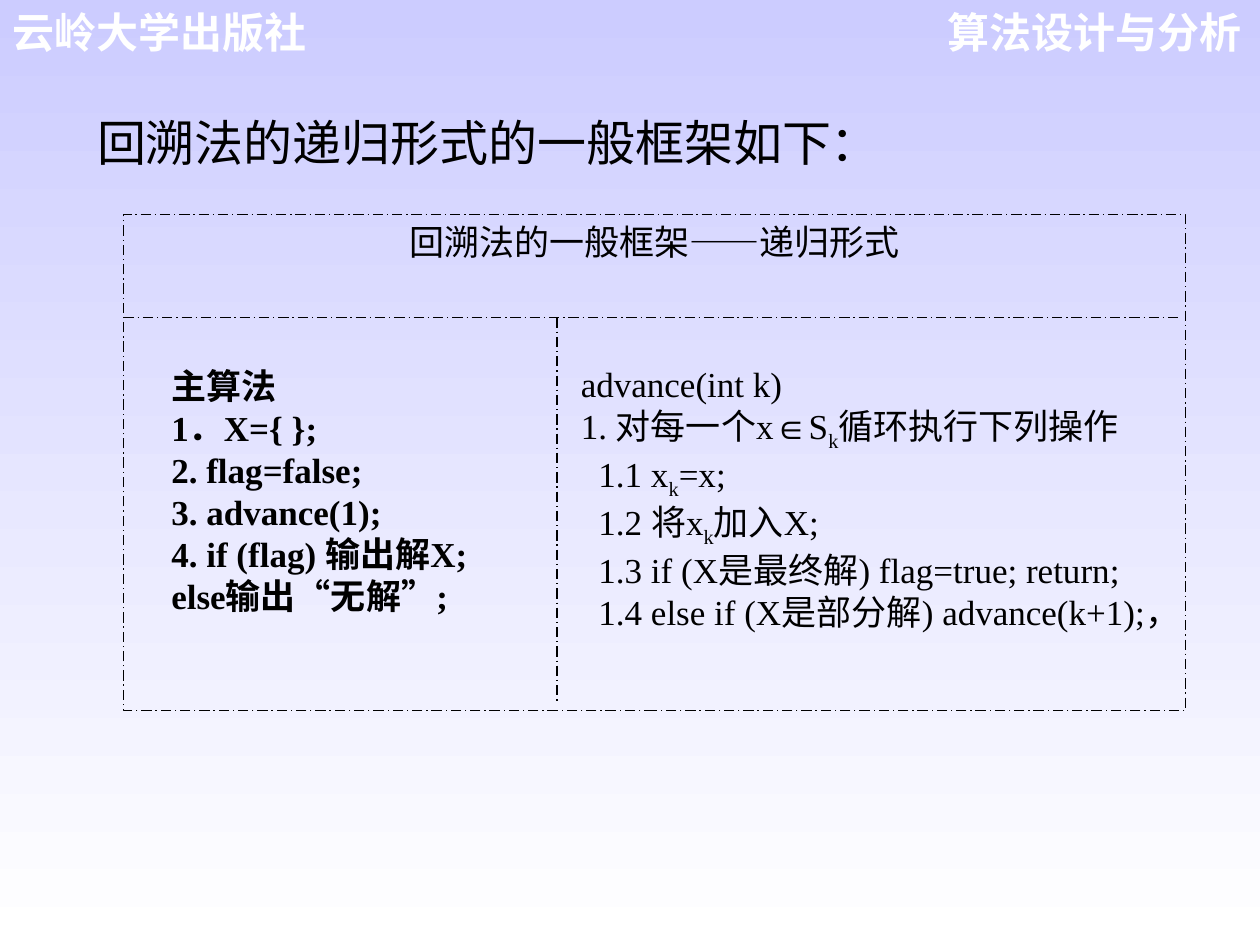
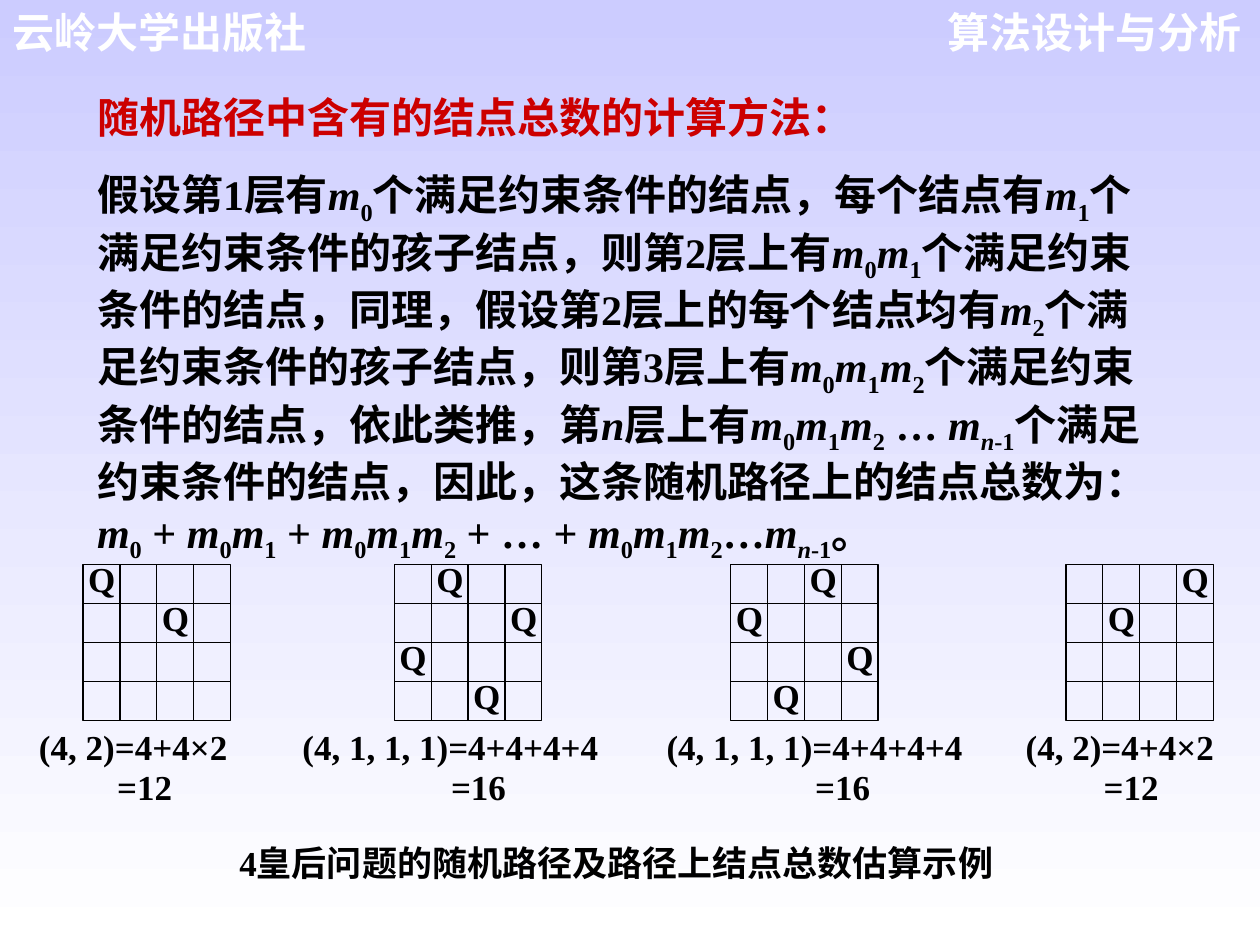
from dataclasses import dataclass

from lxml.etree import SubElement
from pptx import Presentation
from pptx.dml.color import RGBColor
from pptx.enum.dml import MSO_LINE
from pptx.enum.shapes import MSO_CONNECTOR, MSO_SHAPE
from pptx.enum.text import MSO_ANCHOR, MSO_AUTO_SIZE, PP_ALIGN as Align
from pptx.oxml.ns import qn
from pptx.util import Inches, Pt


@dataclass(frozen=True)
class Theme:
    sky: str = "CCCCFF"
    paper: str = "FFFFFF"
    ink: str = "000000"
    accent: str = "CC0000"
    sans: str = "Arial"
    serif: str = "Times New Roman"
    lead: int = 28
    text: int = 24
    small: int = 20
    rule: float = 0.75


THEME = Theme()
WIDTH, HEIGHT = 10, 7.5
INSETS, NO_INSETS = (0.1, 0.05), (0, 0)


def product(*levels):
    """Runs for a product of italic m factors with subscripts."""
    runs = []
    for level in levels:
        runs.append(("m", "i"))
        runs += [("n", "is"), ("-1", "s")] if level == "n-1" else [(level, "s")]
    return runs


# Content: a paragraph is a list of runs; a run is text or (text, style),
# where style holds i for italic and s for subscript.
PUBLISHER, COURSE = "云岭大学出版社", "算法设计与分析"

FRAMEWORK_TITLE = "回溯法的递归形式的一般框架如下："
FRAMEWORK_HEAD = "回溯法的一般框架——递归形式"
MAIN_ALGORITHM = [["主算法"], ["1．X={ };"], ["2. flag=false;"],
                  ["3. advance(1);"], ["4. if (flag) 输出解X;"],
                  ["else输出“无解”;"]]
ADVANCE = [["advance(int k)"],
           ["1. 对每一个x∈S", ("k", "s"), "循环执行下列操作"]]
ADVANCE_STEPS = [["1.1 x", ("k", "s"), "=x;"],
                 ["1.2 将x", ("k", "s"), "加入X;"],
                 ["1.3 if (X是最终解) flag=true; return;"],
                 ["1.4 else if (X是部分解) advance(k+1);，"]]

COUNT_TITLE = "随机路径中含有的结点总数的计算方法："
COUNT_METHOD = [
    "假设第1层有", *product("0"),
    "个满足约束条件的结点，每个结点有", *product("1"),
    "个满足约束条件的孩子结点，则第2层上有", *product("0", "1"),
    "个满足约束条件的结点，同理，假设第2层上的每个结点均有", *product("2"),
    "个满足约束条件的孩子结点，则第3层上有", *product("0", "1", "2"),
    "个满足约束条件的结点，依此类推，第", ("n", "i"), "层上有",
    *product("0", "1", "2"), " … ", *product("n-1"),
    "个满足约束条件的结点，因此，这条随机路径上的结点总数为：",
    *product("0"), " + ", *product("0", "1"), " + ",
    *product("0", "1", "2"), " + … + ",
    *product("0", "1", "2"), "…", *product("n-1"), "。"]
BOARDS_CAPTION = "4皇后问题的随机路径及路径上结点总数估算示例"

# Board left, caption left, queen column in each row, sum, total
BOARDS = [
    (0.66, 0.31, (0, 2), "(4, 2)=4+4×2", "=12"),
    (3.13, 2.40, (1, 3, 0, 2), "(4, 1, 1, 1)=4+4+4+4", "=16"),
    (5.80, 5.29, (2, 0, 3, 1), "(4, 1, 1, 1)=4+4+4+4", "=16"),
    (8.46, 8.14, (3, 1), "(4, 2)=4+4×2", "=12"),
]
BOARD_TOP, BOARD_WIDTH, BOARD_HEIGHT, BOARD_CELLS = 4.48, 1.17, 1.24, 4
FRAME_LEFT, FRAME_TOP, FRAME_WIDTH, FRAME_HEIGHT = 0.98, 1.7, 8.43, 3.94


def rgb(color):
    return RGBColor.from_string(color)


def place(part, left, top, width, height):
    part.left, part.top = Inches(left), Inches(top)
    part.width, part.height = Inches(width), Inches(height)


def fill_text(part, paragraphs, size, font=THEME.serif, color=THEME.ink, bold=False,
              align=Align.JUSTIFY, insets=NO_INSETS, spacing=1.0, indents=(), wrap=True):
    """Write the paragraphs; indents gives left margins, 0 where it ends."""
    frame = part.text_frame
    frame.auto_size = MSO_AUTO_SIZE.NONE
    frame.word_wrap = wrap
    frame.vertical_anchor = MSO_ANCHOR.TOP
    frame.margin_left = frame.margin_right = Inches(insets[0])
    frame.margin_top = frame.margin_bottom = Inches(insets[1])
    for index, runs in enumerate(paragraphs):
        paragraph = frame.add_paragraph() if index else frame.paragraphs[0]
        paragraph.alignment = align
        paragraph.line_spacing = spacing
        paragraph.space_before = paragraph.space_after = Pt(0)
        margin = indents[index] if index < len(indents) else 0
        properties = paragraph._p.get_or_add_pPr()
        properties.set("marL", str(Inches(margin)))
        properties.set("indent", "0")
        SubElement(properties, qn("a:buNone"))
        for piece in runs:
            words, style = (piece, "") if isinstance(piece, str) else piece
            run = paragraph.add_run()
            run.text = words
            run.font.name, run.font.size = font, Pt(size)
            run.font.bold, run.font.italic = bold, "i" in style
            run.font.color.rgb = rgb(color)
            if "s" in style:
                run.font._element.set("baseline", "-25000")


def add_text(slide, box, paragraphs, size=THEME.small, **look):
    part = slide.shapes.add_textbox(0, 0, 0, 0)
    place(part, *box)
    fill_text(part, paragraphs, size, **look)


def fill_placeholder(part, box, runs, size, **look):
    place(part, *box)
    fill_text(part, [runs], size, align=Align.LEFT, insets=INSETS, **look)


def style_line(line, dash):
    line.color.rgb = rgb(THEME.ink)
    line.width = Pt(THEME.rule)
    if dash:
        line.dash_style = dash


def add_frame(slide, box, dash=None):
    frame = slide.shapes.add_shape(MSO_SHAPE.RECTANGLE, *map(Inches, box))
    frame.shadow.inherit = False
    frame.fill.background()
    style_line(frame.line, dash)
    return frame


def add_rule(slide, x1, y1, x2, y2, dash=None):
    rule = slide.shapes.add_connector(
        MSO_CONNECTOR.STRAIGHT, *map(Inches, (x1, y1, x2, y2)))
    style_line(rule.line, dash)
    SubElement(rule._element.spPr, qn("a:effectLst"))


def paint_background(master):
    fill = master.background.fill
    fill.gradient()
    fill.gradient_angle = 270
    for stop, color in zip(fill.gradient_stops, (THEME.sky, THEME.paper)):
        stop.color.rgb = rgb(color)


def add_slide(deck, layout):
    slide = deck.slides.add_slide(deck.slide_layouts.get_by_name(layout))
    for left, words, align in ((7.24, COURSE, Align.RIGHT), (0, PUBLISHER, Align.LEFT)):
        add_text(slide, (left, 0, 2.71, 0.5), [[words]], THEME.text, font=THEME.sans,
                 color=THEME.paper, bold=True, align=align, insets=INSETS)
    return slide


def build_framework(deck):
    slide = add_slide(deck, "Title Only")
    fill_placeholder(slide.shapes.title, (0.67, 0.84, 6.41, 0.57),
                     [FRAMEWORK_TITLE], THEME.lead, font=THEME.sans, wrap=False)
    dash = MSO_LINE.LONG_DASH_DOT
    frame = add_frame(slide, (FRAME_LEFT, FRAME_TOP, FRAME_WIDTH, FRAME_HEIGHT), dash)
    fill_text(frame, [[FRAMEWORK_HEAD]], THEME.small, align=Align.CENTER, insets=INSETS)
    add_text(slide, (4.61, 2.88, 5.04, 3.47), ADVANCE + ADVANCE_STEPS,
             indents=[0] * len(ADVANCE) + [0.14] * len(ADVANCE_STEPS))
    add_text(slide, (1.36, 2.89, 2.52, 3.33), MAIN_ALGORITHM, bold=True)
    head_bottom, divider = 2.52, 4.42
    add_rule(slide, FRAME_LEFT, head_bottom, 9.38, head_bottom, dash)
    add_rule(slide, divider, head_bottom, divider, 5.56, dash)


def add_board(slide, left, caption_left, queens, path_sum, total):
    add_frame(slide, (left, BOARD_TOP, BOARD_WIDTH, BOARD_HEIGHT))
    column, row = BOARD_WIDTH / BOARD_CELLS, BOARD_HEIGHT / BOARD_CELLS
    for step in range(1, BOARD_CELLS):
        x, y = left + step * column, BOARD_TOP + step * row
        add_rule(slide, x, BOARD_TOP, x, BOARD_TOP + BOARD_HEIGHT)
        add_rule(slide, left, y, left + BOARD_WIDTH, y)
    for level, queen in enumerate(queens):
        add_text(slide, (left + queen * column + 0.04, BOARD_TOP + level * row + 0.01,
                         0.22, 0.28), [["Q"]], bold=True, spacing=0.8)
    full_path = len(queens) == BOARD_CELLS
    add_text(slide, (caption_left, 5.78, 2.4 if full_path else 1.83, 0.69),
             [[path_sum], [total]], bold=True, spacing=0.96,
             indents=(0, 1.18 if full_path else 0.62))


def build_counting(deck):
    slide = add_slide(deck, "Title and Content")
    fill_placeholder(slide.shapes.title, (0.67, 0.68, 8.58, 0.6), [COUNT_TITLE],
                     THEME.text, color=THEME.accent, bold=True)
    fill_placeholder(slide.placeholders[1], (0.67, 1.29, 8.58, 3.23), COUNT_METHOD,
                     THEME.text, bold=True)
    for board in BOARDS:
        add_board(slide, *board)
    add_text(slide, (1.9, 6.68, 6.75, 0.4), [[BOARDS_CAPTION]], bold=True)


def main():
    deck = Presentation()
    deck.slide_width, deck.slide_height = Inches(WIDTH), Inches(HEIGHT)
    paint_background(deck.slide_master)
    build_framework(deck)
    build_counting(deck)
    deck.save("out.pptx")


if __name__ == "__main__":
    main()
